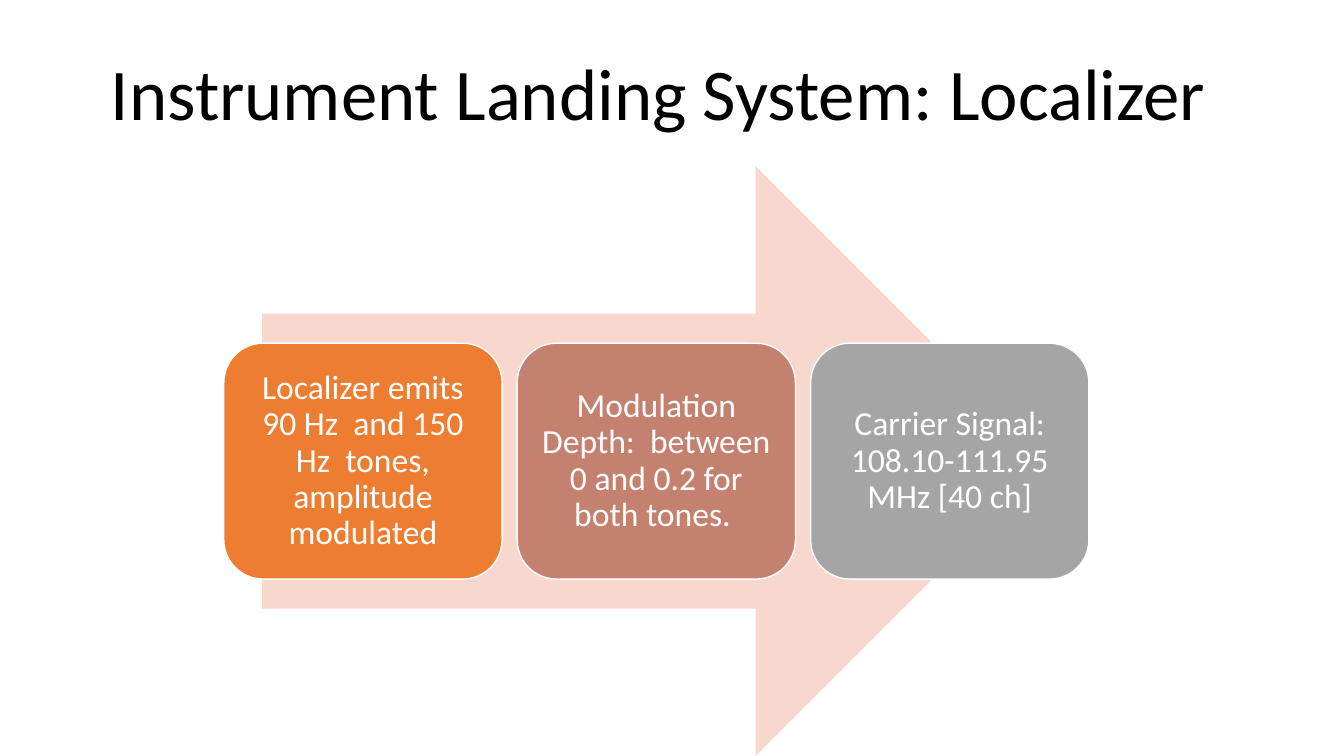
from dataclasses import dataclass

from pptx import Presentation
from pptx.dml.color import RGBColor
from pptx.enum.shapes import MSO_SHAPE
from pptx.enum.text import MSO_ANCHOR, MSO_AUTO_SIZE, PP_ALIGN
from pptx.util import Inches, Pt

RIGHT_ARROW = MSO_SHAPE.RIGHT_ARROW
ROUNDED = MSO_SHAPE.ROUNDED_RECTANGLE
MIDDLE = MSO_ANCHOR.MIDDLE
LEFT, CENTER = PP_ALIGN.LEFT, PP_ALIGN.CENTER
NO_AUTOFIT = MSO_AUTO_SIZE.NONE


@dataclass(frozen=True)
class Theme:
    font: str = "Calibri"
    title_size: int = 52
    step_size: int = 24
    title_color: str = "000000"
    step_color: str = "FFFFFF"
    outline: str = "FFFFFF"
    arrow: str = "F8D7CE"
    line_spacing: float = 0.9


THEME = Theme()

# Step wording and card colour, in reading order
STEPS = [
    ("Localizer emits 90 Hz  and 150 Hz  tones, amplitude modulated", "ED7D31"),
    ("Modulation Depth:  between 0 and 0.2 for both tones. ", "C48170"),
    ("Carrier Signal: 108.10-111.95 MHz [40 ch]", "A5A5A5"),
]


def write_text(frame, text, size, color, align):
    frame.word_wrap = True
    frame.auto_size = NO_AUTOFIT
    frame.vertical_anchor = MIDDLE
    frame.margin_left = frame.margin_right = Inches(0.1)
    frame.margin_top = frame.margin_bottom = Inches(0.1)
    paragraph = frame.paragraphs[0]
    paragraph.alignment = align
    paragraph.line_spacing = THEME.line_spacing
    run = paragraph.add_run()
    run.text = text
    run.font.name = THEME.font
    run.font.size = Pt(size)
    run.font.color.rgb = RGBColor.from_string(color)


def add_filled(slide, preset, left, top, width, height, fill):
    shape = slide.shapes.add_shape(
        preset, Inches(left), Inches(top), Inches(width), Inches(height))
    shape.shadow.inherit = False
    shape.fill.solid()
    shape.fill.fore_color.rgb = RGBColor.from_string(fill)
    shape.line.fill.background()
    return shape


def place_title(slide, left, top, width, height):
    heading = slide.shapes.title
    heading.left, heading.top = Inches(left), Inches(top)
    heading.width, heading.height = Inches(width), Inches(height)
    write_text(heading.text_frame, "Instrument Landing System: Localizer",
               THEME.title_size, THEME.title_color, LEFT)


def add_process(slide, left, top, width, height):
    # Background arrow, centred in the box
    arrow_width = 7.82
    add_filled(slide, RIGHT_ARROW, left + (width - arrow_width) / 2, top,
               arrow_width, height, THEME.arrow)

    # Equal cards across the middle of the arrow
    gap = 0.15
    card_width = (width - gap * (len(STEPS) - 1)) / len(STEPS)
    card_height = height * 0.4
    card_top = top + (height - card_height) / 2
    for index, (wording, color) in enumerate(STEPS):
        card = add_filled(slide, ROUNDED, left + index * (card_width + gap),
                          card_top, card_width, card_height, color)
        card.line.color.rgb = RGBColor.from_string(THEME.outline)
        card.line.width = Pt(1)
        write_text(card.text_frame, wording, THEME.step_size,
                   THEME.step_color, CENTER)


def main():
    deck = Presentation()
    deck.slide_width, deck.slide_height = Inches(13.33), Inches(7.5)
    slide = deck.slides.add_slide(deck.slide_layouts[5])
    place_title(slide, 1, -2.09, 11.34, 6.1)
    add_process(slide, 2.22, 1.65, 8.58, 5.85)
    deck.save("out.pptx")


if __name__ == "__main__":
    main()
